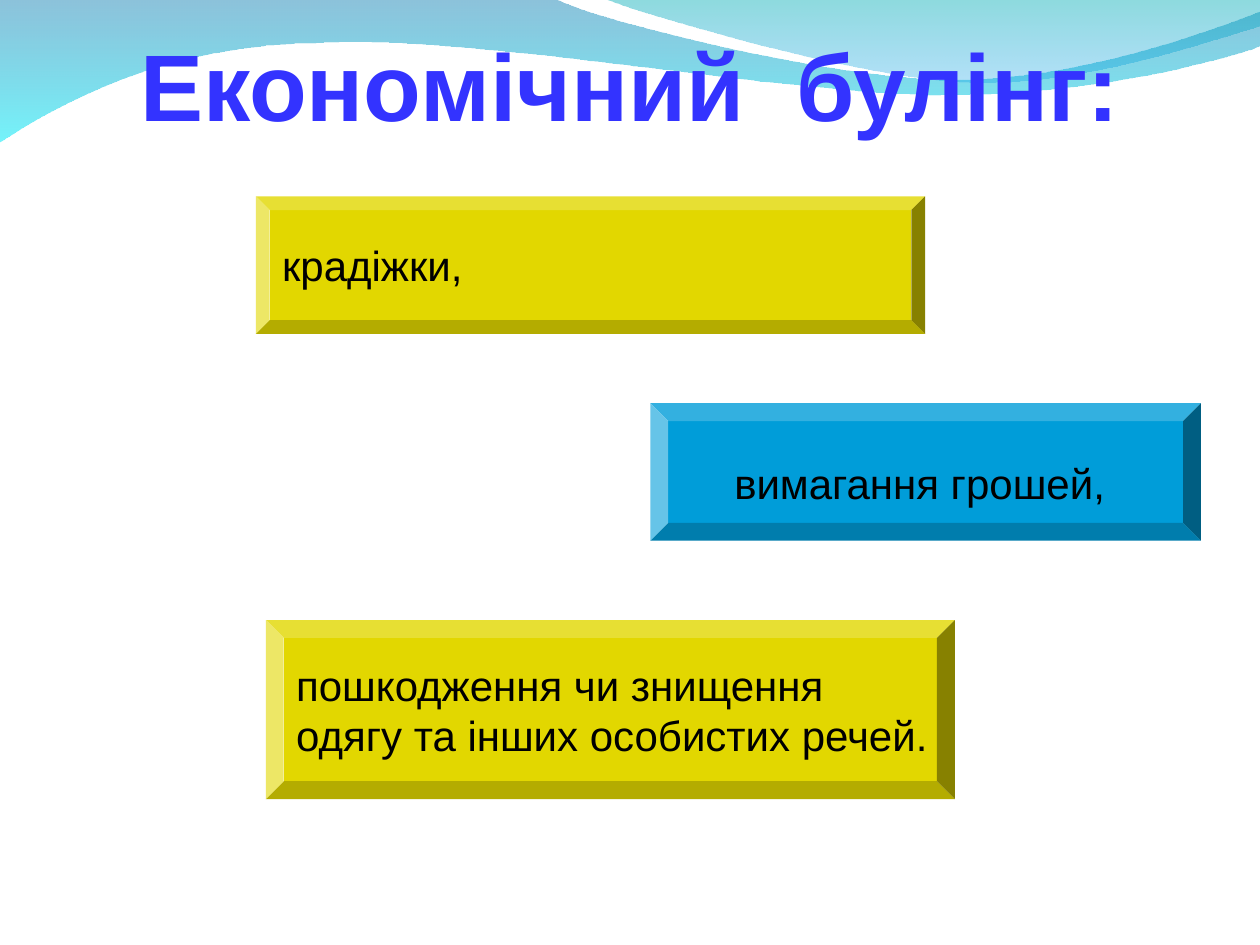
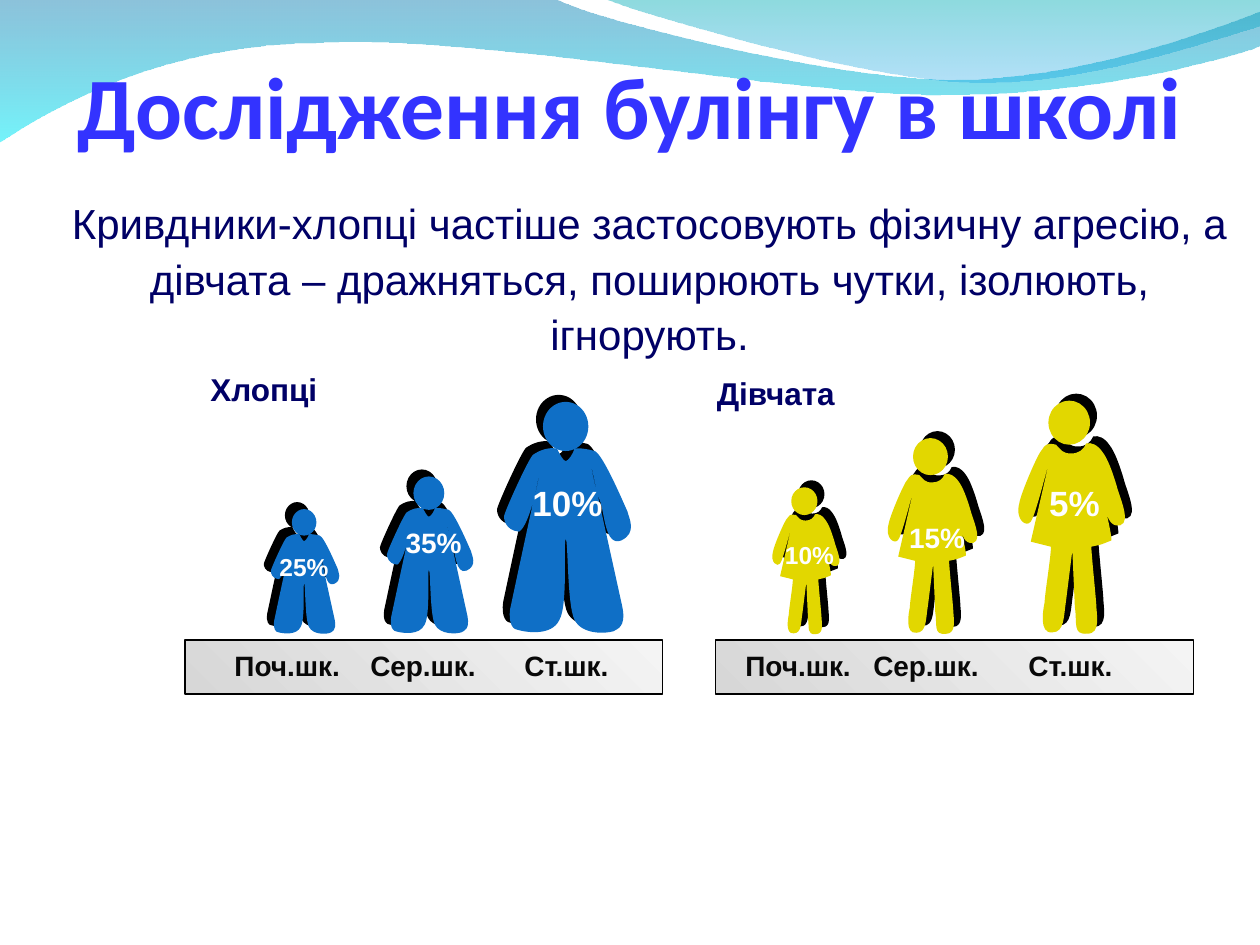
from lxml import etree
from pptx import Presentation
from pptx import util as u
from pptx.dml.color import RGBColor
from pptx.enum import shapes, text
from pptx.oxml.ns import qn

COLORS = {
    "title": "3333FF", "navy": "000066", "black": "000000", "label": "080808",
    "percent": "FEFEFE", "yellow": "E2D700", "sky": "009DD9", "blue": "0F6FC6",
    "platform_dark": "D7D7D7", "platform_light": "F4F4F4",
    "wave_blue": "0079AF", "wave_aqua": "00EBF8",
    "wave_teal": "00ADB6", "wave_azure": "009BE5",
}
UNIT = u.Cm(2.54) / 100
GROUND = 12.8
PERCENT_WIDTHS = {14: 1.7, 16: 1.9, 20: 2.3}

WAVES = [
    ([(0, -1), (440, -1), (476, 17, 664, 63, 758, 63), (853, 63, 958, 26, 1000, 9),
      (1001, 36), (983, 44, 870, 76, 746, 75), (622, 75, 382, 28, 257, 34),
      (129, 35, 46, 83, -1, 113)],
     ("wave_blue", "wave_aqua"), (45, 55)),
    ([(479, -1), (509, 11, 682, 62, 769, 65), (856, 69, 961, 32, 1000, 21), (1000, 0)],
     ("wave_teal", "wave_azure"), (45, 30)),
]
BOY = {
    "body": [
        (56, 1), (55, 5, 51, 11, 49, 11), (47, 11, 44, 5, 42, 1), (35, 0, 29, 2, 23, 6),
        (19, 10, 0, 52, 0, 55), (0, 57, 1, 66, 12, 67), (21, 62, 29, 18, 29, 18),
        (26, 29, 5, 128, 5, 128), (3, 141, 8, 145, 11, 145), (18, 147, 38, 150, 44, 137),
        (51, 125, 47, 73, 49, 73), (51, 73, 50, 125, 56, 137), (62, 149, 81, 148, 87, 146),
        (90, 144, 97, 143, 94, 127), (70, 18), (67, 4, 72, 33, 76, 42),
        (80, 52, 80, 79, 93, 74), (106, 68, 99, 56, 98, 51), (96, 47, 79, 6, 72, 3),
        (61, 0, 56, 1, 56, 1)],
    "head": (31, -36, 36, 39), "height": 149, "color": "blue", "shadow_angle": 225,
}
GIRL = {
    "body": [
        (45, 9), (51, 9, 55, 6, 57, 1), (61, 0, 66, 2, 70, 8), (74, 13, 78, 24, 81, 34),
        (83, 43, 93, 63, 84, 66), (75, 68, 73, 57, 71, 48), (68, 36, 63, 18, 63, 18),
        (64, 23, 77, 67, 77, 78), (67, 82, 70, 81, 61, 83), (62, 98, 64, 116, 65, 129),
        (65, 136, 69, 152, 58, 152), (46, 153, 50, 144, 48, 131), (46, 86), (41, 126),
        (39, 138, 40, 151, 30, 151), (19, 152, 23, 132, 24, 127), (24, 121, 29, 91, 29, 83),
        (21, 81, 13, 79, 13, 79), (27, 18), (27, 16, 17, 58, 13, 63), (10, 68, 0, 62, 4, 48),
        (5, 41, 19, 8, 22, 6), (24, 3, 25, 0, 33, 2), (37, 6, 38, 9, 45, 9)],
    "head": (27, -33, 33, 35), "height": 153, "color": "yellow", "shadow_angle": 315,
}
STAGES = ["Поч.шк.", "Сер.шк.", "Ст.шк."]


def rgb(name):
    return RGBColor.from_string(COLORS[name])


def style_shape(shape, color):
    shape.shadow.inherit = False
    shape.fill.solid()
    shape.fill.fore_color.rgb = rgb(color)
    shape.line.fill.background()


def set_gradient(shape, colors, angle, alphas=()):
    shape.fill.gradient()
    shape.fill.gradient_angle = angle
    for stop, color in zip(shape.fill.gradient_stops, colors):
        stop.color.rgb = rgb(color)
    for color_element, alpha in zip(shape.element.spPr.iter(qn("a:srgbClr")), alphas):
        etree.SubElement(color_element, qn("a:alpha"), val=str(alpha * 1000))


def set_shadow(shape, angle):
    effects = shape.element.spPr.find(qn("a:effectLst"))
    shadow = etree.SubElement(effects, qn("a:outerShdw"), blurRad="0",
                              dist=str(u.Cm(0.2)), dir=str(angle * 60000),
                              algn="ctr", rotWithShape="0")
    etree.SubElement(shadow, qn("a:srgbClr"), val=COLORS["black"])


def bend_lines(shape, segments, origin):
    for line, segment in zip(list(shape.element.iter(qn("a:lnTo"))), segments):
        if len(segment) == 2:
            continue
        curve = etree.Element(qn("a:cubicBezTo"))
        for x, y in segment:
            etree.SubElement(curve, qn("a:pt"), x=str(x - origin[0]), y=str(y - origin[1]))
        line.getparent().replace(line, curve)


def add_outline(container, outline, color, left=0, top=0, scale=1):
    segments = [[(round(left + x * UNIT * scale), round(top + y * UNIT * scale))
                 for x, y in zip(segment[::2], segment[1::2])] for segment in outline]
    ends = [segment[-1] for segment in segments]
    builder = container.build_freeform(*ends[0], scale=1.0)
    builder.add_line_segments(ends[1:], close=True)
    shape = builder.convert_to_shape()
    origin = [min(values) for values in zip(*ends)]
    bend_lines(shape, [segment if len(segment) == 3 else (0, 0)
                       for segment in segments[1:]], origin)
    style_shape(shape, color)
    return shape


def add_waves(presentation, slide):
    master_tree = presentation.slide_master.shapes.element
    for position, (outline, colors, alphas) in enumerate(WAVES, start=2):
        wave = add_outline(slide.shapes, outline, colors[0])
        set_gradient(wave, colors, 270, alphas)
        master_tree.insert(position, wave.element)


def write(frame, lines, size, color, bold=False, font="Arial",
          align=text.PP_ALIGN.CENTER, spacing=None):
    frame.text = "\n".join(lines)
    for paragraph in frame.paragraphs:
        paragraph.alignment = align
        paragraph.line_spacing = spacing
        paragraph.font.name = font
        paragraph.font.size = u.Pt(size)
        paragraph.font.bold = bold
        paragraph.font.color.rgb = rgb(color)


def add_title(slide, title, top, height, font, size, anchor):
    shape = slide.shapes.title
    shape.left, shape.top, shape.width, shape.height = map(u.Cm, (0, top, 25.4, height))
    frame = shape.text_frame
    frame.auto_size = text.MSO_AUTO_SIZE.NONE
    frame.vertical_anchor = anchor
    frame.margin_left = frame.margin_right = frame.margin_bottom = 0
    frame.margin_top = u.Cm(0.13)
    write(frame, [title], size, "title", True, font)


def add_text(slide, box, content, size, color, bold=False, wrap=True, **options):
    frame = slide.shapes.add_textbox(*map(u.Cm, box)).text_frame
    frame.word_wrap = wrap
    write(frame, [content], size, color, bold, **options)


def add_bevel(slide, box, color, depth, lines=()):
    shape = slide.shapes.add_shape(shapes.MSO_SHAPE.BEVEL, *map(u.Cm, box))
    shape.adjustments[0] = depth
    style_shape(shape, color)
    if lines:
        shape.text_frame.word_wrap = False
        write(shape.text_frame, lines, 24, "black", align=text.PP_ALIGN.LEFT)


def add_platform(slide, left):
    shape = slide.shapes.add_shape(shapes.MSO_SHAPE.RECTANGLE,
                                   *map(u.Cm, (left, 12.9, 9.63, 1.09)))
    style_shape(shape, "platform_light")
    set_gradient(shape, ("platform_dark", "platform_light"), 45)
    shape.line.color.rgb = rgb("black")
    shape.line.width = u.Pt(0.75)


def add_figure(slide, person, left, scale):
    group = slide.shapes.add_group_shape()
    left = u.Cm(left)
    top = u.Cm(GROUND) - person["height"] * UNIT * scale
    body = add_outline(group.shapes, person["body"], person["color"], left, top, scale)
    x, y, width, height = (round(value * UNIT * scale) for value in person["head"])
    head = group.shapes.add_shape(shapes.MSO_SHAPE.OVAL, round(left + x),
                                  round(top + y), width, height)
    style_shape(head, person["color"])
    for part in (body, head):
        set_shadow(part, person["shadow_angle"])


def add_pictogram(slide, person, heading, heading_box, platform_left, figures):
    add_platform(slide, platform_left)
    add_text(slide, heading_box, heading, 18, "navy", True, False,
             align=text.PP_ALIGN.LEFT)
    for stage, figure in zip(STAGES, figures):
        left, scale, percent, size, percent_center, percent_top, stage_center = figure
        add_figure(slide, person, left, scale)
        width = PERCENT_WIDTHS[size]
        add_text(slide, (percent_center - width / 2, percent_top, width, 0.94),
                 percent, size, "percent", True)
        add_text(slide, (stage_center - 1.4, 12.95, 2.8, 0.94), stage, 16, "label", True)


def build_economic_slide(slide):
    add_title(slide, "Економічний  булінг:", 0.41, 2.54, "Arial", 54,
              text.MSO_ANCHOR.TOP)
    add_bevel(slide, (5.16, 3.96, 13.49, 2.77), "yellow", 0.1, ["крадіжки,"])
    add_bevel(slide, (13.11, 8.13, 11.1, 2.77), "sky", 0.13)
    add_text(slide, (13.28, 9.1, 10.52, 1.24), "вимагання грошей,", 24, "black")
    add_bevel(slide, (5.36, 12.5, 13.89, 3.61), "yellow", 0.1,
              ["пошкодження чи знищення", "одягу та інших особистих речей."])


def build_research_slide(slide):
    add_title(slide, "Дослідження булінгу в школі", 0.2, 2.97, "Calibri", 50,
              text.MSO_ANCHOR.BOTTOM)
    add_pictogram(slide, BOY, "Хлопці", (3.99, 7.34, 2.67, 1.02), 3.73, [
        (5.46, 0.54, "25%", 14, 6.13, 11, 5.79),
        (7.8, 0.68, "35%", 16, 8.74, 10.46, 8.53),
        (10.16, 1, "10%", 20, 11.44, 9.58, 11.42)])
    add_pictogram(slide, GIRL, "Дівчата", (14.2, 7.42, 2.9, 1.02), 14.43, [
        (15.52, 0.63, "10%", 14, 16.32, 10.77, 16.09),
        (17.83, 0.84, "15%", 16, 18.89, 10.36, 18.67),
        (20.45, 1, "5%", 20, 21.66, 9.58, 21.58)])
    add_text(slide, (0.79, 3.76, 24.61, 3.61),
             "Кривдники-хлопці частіше застосовують фізичну агресію, а дівчата – "
             "дражняться, поширюють чутки, ізолюють, ігнорують.",
             24, "navy", spacing=1.1)


def main():
    presentation = Presentation()
    presentation.slide_width, presentation.slide_height = u.Cm(25.4), u.Cm(19.05)
    title_only = presentation.slide_layouts[5]
    economic, research = (presentation.slides.add_slide(title_only) for _ in range(2))
    add_waves(presentation, economic)
    build_economic_slide(economic)
    build_research_slide(research)
    presentation.save("out.pptx")


if __name__ == "__main__":
    main()
